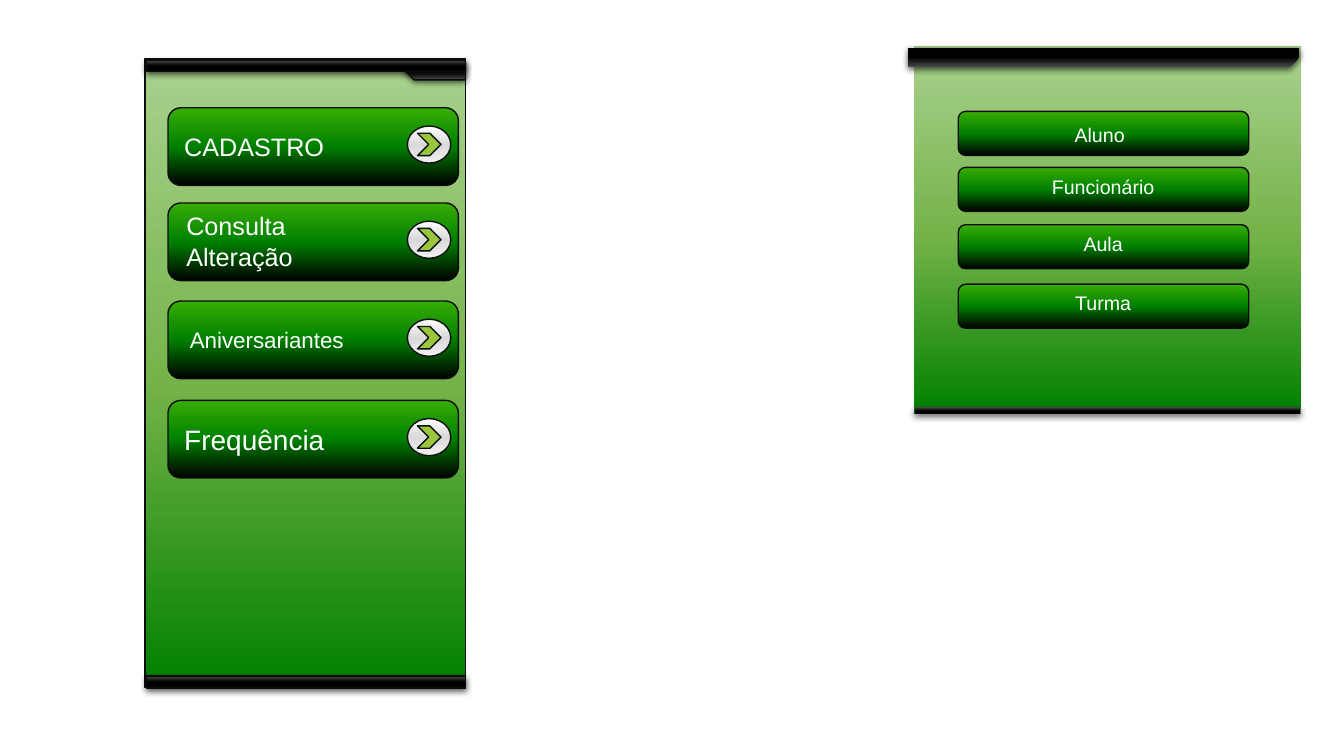
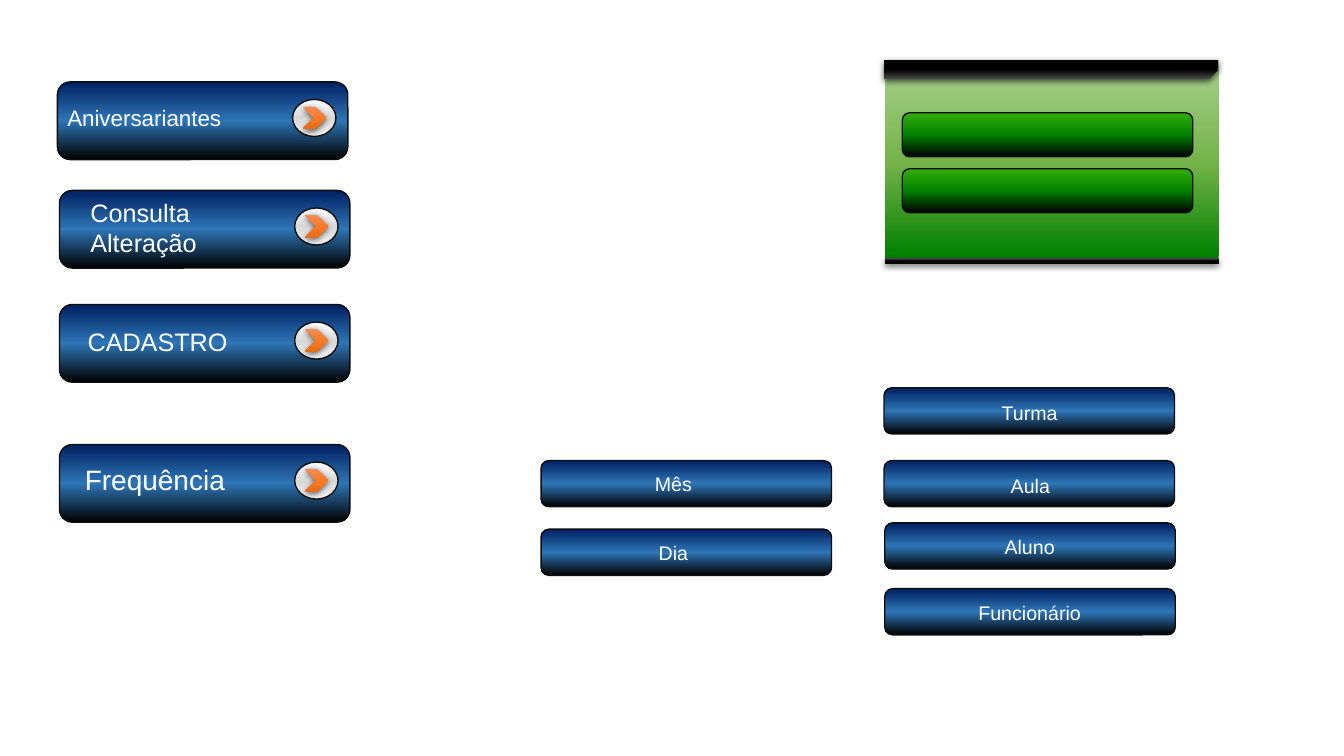
"""Build two slides of menu panels and gradient buttons."""
from copy import deepcopy

from lxml import etree
from pptx import Presentation
from pptx.dml.color import RGBColor
from pptx.enum import shapes, text
from pptx.oxml import ns
from pptx.util import Pt

SHAPE = shapes.MSO_SHAPE
FONT, WHITE, EDGE = "Arial", "FFFFFF", "0D0D0D"
PANEL = ((0, "008000"), (48, "74B349"), (100, "A9D18E"))
BAR = ((0, "4B4B4B"), (50, "000000"), (100, "000000"))
GREEN = ((0, "38AD05"), (50, "008000"), (100, "000000"))
BLUE = ((0, "002060"), (50, "2E75B6"), (100, "000000"))
SILVER = ((0, "FFFFFF"), (50, "D9D9D9"), (100, "F2F2F2"))
ORANGE = ((0, "F18C57"), (50, "F67B28"), (100, "E56C19"))

GREEN_BUTTON = dict(fill=GREEN, icon_at=(171, 13),
                    chevron=dict(fill="99C63D", line=EDGE))
BLUE_BUTTON = dict(fill=BLUE, icon_at=(168, 12.5),
                   chevron=dict(fill=ORANGE, shadow=True))


def color(value):
    return RGBColor.from_string(value)


def paint(fill, value, angle):
    if isinstance(value, str):
        fill.solid()
        fill.fore_color.rgb = color(value)
        return
    fill.gradient()
    fill.gradient_angle = angle
    stops = fill.gradient_stops
    gs_list = stops[0]._gs.getparent()
    gs_list.append(deepcopy(gs_list[0]))
    for stop, (position, rgb) in zip(fill.gradient_stops, value):
        stop.position = position / 100
        stop.color.rgb = color(rgb)


def add_shadow(sp):
    effects = sp._element.spPr.find(ns.qn("a:effectLst"))
    outer = etree.SubElement(effects, ns.qn("a:outerShdw"), blurRad=str(Pt(4.5)),
                             dist=str(Pt(1.5)), dir="5400000", algn="ctr", rotWithShape="0")
    rgb = etree.SubElement(outer, ns.qn("a:srgbClr"), val="000000")
    etree.SubElement(rgb, ns.qn("a:alpha"), val="63000")


def add_block(s, kind, box, fill, line=None, shadow=False, angle=270):
    sp = s.shapes.add_shape(kind, *map(Pt, box))
    sp.shadow.inherit = False
    paint(sp.fill, fill, angle)
    if line:
        sp.line.color.rgb = color(line)
        sp.line.width = Pt(1)
    else:
        sp.line.fill.background()
    if shadow:
        add_shadow(sp)
    return sp


def add_label(s, box, lines, size, align=text.PP_ALIGN.LEFT):
    tf = s.shapes.add_textbox(*map(Pt, box)).text_frame
    tf.word_wrap = True
    tf.auto_size = text.MSO_AUTO_SIZE.SHAPE_TO_FIT_TEXT
    for i, line in enumerate(lines):
        p = tf.paragraphs[0] if i == 0 else tf.add_paragraph()
        p.alignment = align
        r = p.add_run()
        r.text = line
        for name, value in dict(name=FONT, size=Pt(size)).items():
            setattr(r.font, name, value)
        r.font.color.rgb = color(WHITE)


def add_bar(s, box, line=None):
    add_block(s, SHAPE.RECTANGLE, box, BAR, line, shadow=True)


def add_snipped_bar(s, box, line=None, flip=False):
    sp = add_block(s, SHAPE.SNIP_1_RECTANGLE, box, BAR, line, shadow=True)
    sp.adjustments[0] = 0.5
    sp.rotation = 180
    if flip:
        sp._element.spPr.xfrm.set("flipH", "1")


def add_panel(s, body, cap, base):
    add_block(s, SHAPE.RECTANGLE, body, PANEL, angle=90)
    add_snipped_bar(s, cap, flip=True)
    add_bar(s, base)


def add_menu_panel(s):
    add_block(s, SHAPE.RECTANGLE, (103.5, 42, 229, 449), PANEL, EDGE, angle=90)
    add_snipped_bar(s, (289.5, 44.5, 43, 12.5), EDGE)
    for y, height in ((483, 8.5), (43, 8)):
        add_bar(s, (104.5, y, 228, height), EDGE)


def add_menu_button(s, style, x, y, lines, size, dx, dy):
    add_block(s, SHAPE.ROUNDED_RECTANGLE, (x, y, 207.5, 55.5), style["fill"], EDGE)
    icon_x, icon_y = x + style["icon_at"][0], y + style["icon_at"][1]
    add_block(s, SHAPE.FLOWCHART_CONNECTOR, (icon_x, icon_y, 31, 26.5), SILVER, EDGE)
    add_block(s, SHAPE.CHEVRON, (icon_x + 7.2, icon_y + 5.2, 16.8, 16), **style["chevron"])
    add_label(s, (x + dx, y + dy, 150, 20 * len(lines) + 8), lines, size)


def add_option(s, fill, x, y, height, label=None, dx=29, dy=1.5):
    add_block(s, SHAPE.ROUNDED_RECTANGLE, (x, y, 207.5, height), fill, EDGE)
    if label:
        add_label(s, (x + dx, y + dy, 149, 24.5), [label], 14, text.PP_ALIGN.CENTER)


def build_green_slide(s):
    add_menu_panel(s)
    for y, lines, size, dx, dy in (
            (77, ["CADASTRO"], 18, 4.5, 13),
            (145, ["Consulta", "Alteração"], 18, 6, 2),
            (215, ["Aniversariantes"], 16, 8.5, 14.5),
            (286, ["Frequência"], 20, 4.5, 12)):
        add_menu_button(s, GREEN_BUTTON, 120, y, lines, size, dx, dy)
    add_panel(s, (653, 33, 276, 262.5), (648.5, 34, 279.5, 14), (653.5, 291, 275, 5))
    for y, label, dx, dy in ((79.5, "Aluno", 26.5, 4.5), (119.5, "Funcionário", 29, 2),
                             (160.5, "Aula", 29, 1.5), (203, "Turma", 29, 1.5)):
        add_option(s, GREEN, 684.5, y, 31.5, label, dx, dy)


def build_blue_slide(s):
    for x, y, lines, size, dx, dy in (
            (41, 58.5, ["Aniversariantes"], 16, 0, 12),
            (42.5, 136, ["Consulta", "Alteração"], 18, 15, 1.5),
            (42.5, 217.5, ["CADASTRO"], 18, 13, 12),
            (42.5, 317.5, ["Frequência"], 20, 11, 9.5)):
        add_menu_button(s, BLUE_BUTTON, x, y, lines, size, dx, dy)
    add_panel(s, (632, 43, 238.5, 141), (631.5, 43, 238.5, 13.5), (632, 184.5, 238.5, 4))
    for y in (80.5, 120.5):
        add_option(s, GREEN, 644.5, y, 31.5)
    for x, y, label, dx, dy in (
            (631.5, 277, "Turma", 29.5, 6), (631.5, 329, "Aula", 30, 6),
            (632, 373.5, "Aluno", 29, 5), (632, 420.5, "Funcionário", 29, 5),
            (386.5, 329, "Mês", 20, 4.5), (386.5, 378, "Dia", 20, 5)):
        add_option(s, BLUE, x, y, 33, label, dx, dy)


def main():
    prs = Presentation()
    prs.slide_width, prs.slide_height = Pt(960), Pt(540)
    for build in (build_green_slide, build_blue_slide):
        build(prs.slides.add_slide(prs.slide_layouts[6]))
    prs.save("out.pptx")


if __name__ == "__main__":
    main()
